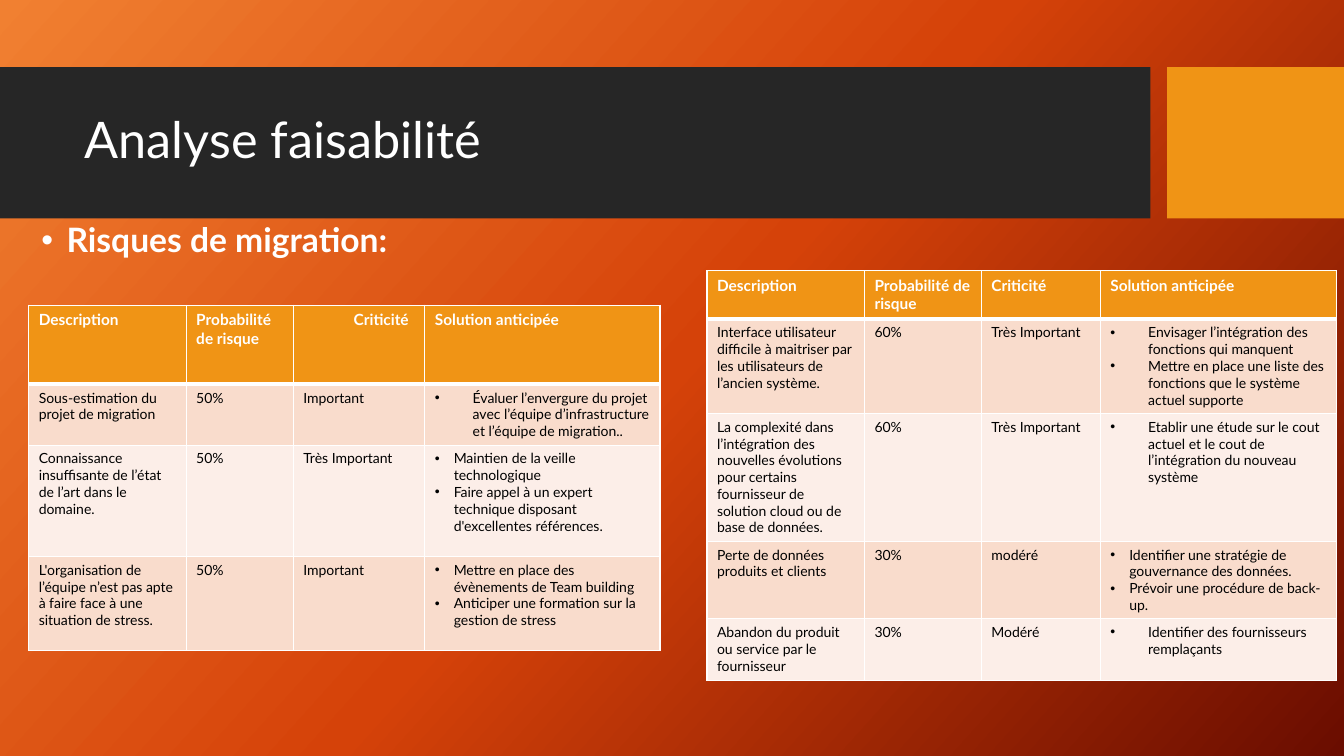
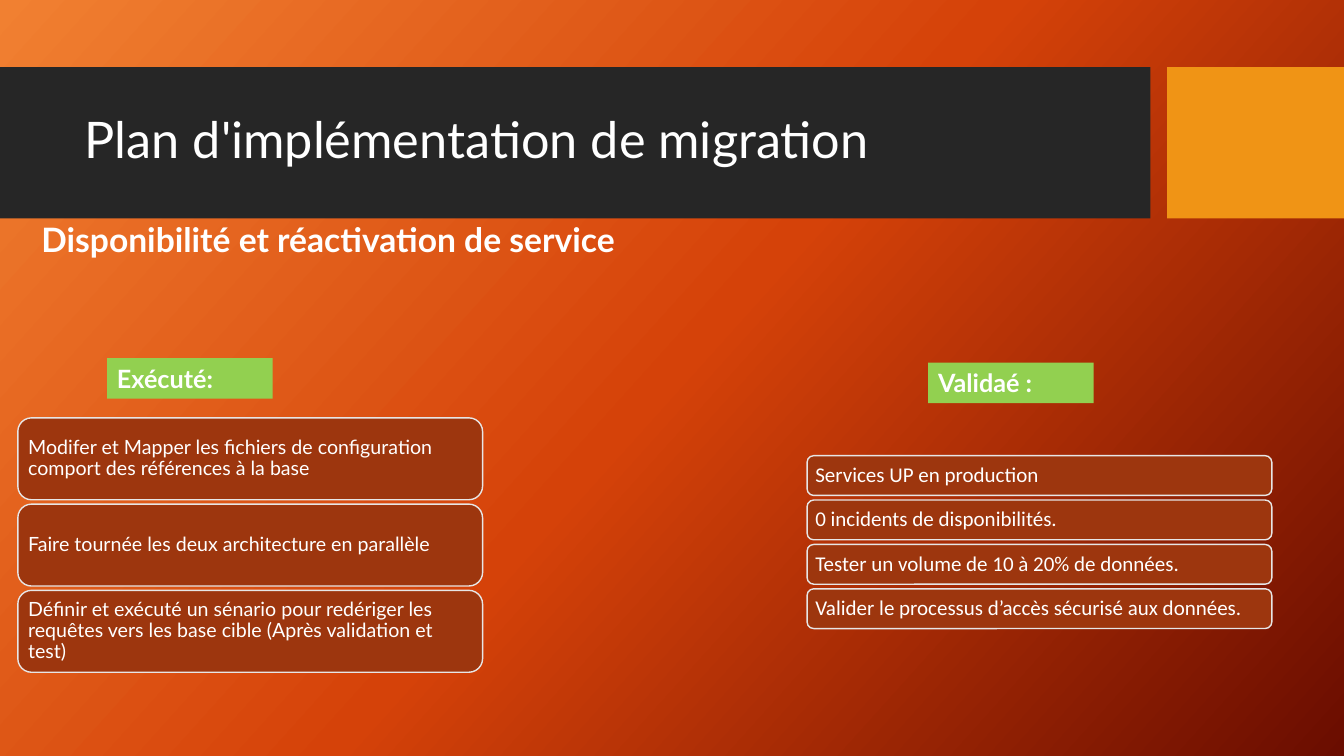
from lxml import etree
from pptx import Presentation
from pptx.dml.color import RGBColor
from pptx.enum.shapes import MSO_SHAPE
from pptx.enum.text import MSO_ANCHOR, PP_ALIGN
from pptx.oxml import parse_xml
from pptx.oxml.ns import nsdecls, qn
from pptx.util import Pt
from copy import deepcopy

color = RGBColor.from_string
WHITE, BLACK = "FFFFFF", "000000"
DARK, AMBER, GREEN, RUST = "262626", "F09415", "92D050", "9D360E"
BAND_FILLS = ["FCEEE8", "F9DCCC"]
GRADIENT = [(0, "F18031"), (0.5, "D54209"), (1, "6A0D00")]
WIDE, NARROW = 27, 13.5  # bullet indents


def write_lines(text_frame, lines, size, ink=WHITE, bold=False, font="Lato",
                spacing=None, indent=0, bullet=False):
    """Fill a text frame, one paragraph per line, all in one style."""
    text_frame.word_wrap = True
    for index, line in enumerate(lines):
        paragraph = text_frame.add_paragraph() if index else text_frame.paragraphs[0]
        paragraph.text = line
        paragraph.alignment = PP_ALIGN.LEFT
        if spacing:
            paragraph.line_spacing = spacing
        if indent:
            properties = paragraph._p.get_or_add_pPr()
            properties.set("marL", str(Pt(indent)))
            properties.set("indent", str(-Pt(indent) if bullet else 0))
            if bullet:
                etree.SubElement(properties, qn("a:buFont"), typeface="Arial")
                etree.SubElement(properties, qn("a:buChar"), char="•")
        paragraph.font.name = font
        paragraph.font.size = Pt(size)
        paragraph.font.bold = bold
        paragraph.font.color.rgb = color(ink)


def add_box(slide, kind, left, top, width, height, fill, line=None):
    shape = slide.shapes.add_shape(kind, Pt(left), Pt(top), Pt(width), Pt(height))
    shape.shadow.inherit = False
    shape.fill.solid()
    shape.fill.fore_color.rgb = color(fill)
    if line:
        shape.line.color.rgb = color(line)
        shape.line.width = Pt(1)
    else:
        shape.line.fill.background()
    return shape


presentation = Presentation()
presentation.slide_width, presentation.slide_height = Pt(960), Pt(540)

# Shared background
master = presentation.slide_master
background = master.background.fill
background.gradient()
background.gradient_angle = 318
stop_list = master.element.find(".//" + qn("a:gsLst"))
stop_list.append(deepcopy(stop_list[0]))
for stop, (position, tone) in zip(background.gradient_stops, GRADIENT):
    stop.position = position
    stop.color.rgb = color(tone)

# Shared bands, title and subtitle
headings = [
    ("Analyse faisabilité", "Risques de migration:", True),
    ("Plan d'implémentation de migration",
     "Disponibilité et réactivation de service", False),
]
slides = []
for title, subtitle, has_bullet in headings:
    slide = presentation.slides.add_slide(presentation.slide_layouts[6])
    add_box(slide, MSO_SHAPE.RECTANGLE, 0, 48, 821.75, 108, DARK)
    add_box(slide, MSO_SHAPE.RECTANGLE, 833.75, 48, 126.25, 108, AMBER)
    title_frame = slide.shapes.add_textbox(
        Pt(53.5), Pt(59), Pt(757), Pt(85)).text_frame
    title_frame.vertical_anchor = MSO_ANCHOR.MIDDLE
    write_lines(title_frame, [title], 36, spacing=0.9)
    subtitle_frame = slide.shapes.add_textbox(
        Pt(22.5), Pt(156), Pt(930), Pt(36)).text_frame
    write_lines(subtitle_frame, [subtitle], 24, bold=True, spacing=0.9,
                indent=18 if has_bullet else 0, bullet=has_bullet)
    slides.append(slide)
risk_slide, plan_slide = slides

# Risk tables: each row is description, probability, severity, bullet indent, solutions
HEADERS = ["Description", "Probabilité de risque", "Criticité", "Solution anticipée"]
migration_risks = [
    ("Sous-estimation du projet de migration", "50%", "Important", WIDE,
     ["Évaluer l’envergure du projet avec l’équipe d’infrastructure "
      "et l’équipe de migration.."]),
    ("Connaissance insuffisante de l’état de l’art dans le domaine.", "50%",
     "Très Important", NARROW,
     ["Maintien de la veille technologique",
      "Faire appel à un expert technique disposant d'excellentes références."]),
    ("L'organisation de l’équipe n’est pas apte à faire face à une situation de stress.",
     "50%", "Important", NARROW,
     ["Mettre en place des évènements de Team building",
      "Anticiper une formation sur la gestion de stress"]),
]
product_risks = [
    ("Interface utilisateur difficile à maitriser par les utilisateurs "
     "de l’ancien système.", "60%", "Très Important", WIDE,
     ["Envisager l’intégration des fonctions qui manquent",
      "Mettre en place une liste des fonctions que le système actuel supporte"]),
    ("La complexité dans l’intégration des nouvelles évolutions pour certains "
     "fournisseur de solution cloud ou de base de données.", "60%",
     "Très Important", WIDE,
     ["Etablir une étude sur le cout actuel et le cout de l’intégration "
      "du nouveau système"]),
    ("Perte de données produits et clients", "30%", "modéré", NARROW,
     ["Identifier une stratégie de gouvernance des données.",
      "Prévoir une procédure de back-up."]),
    ("Abandon du produit ou service par le fournisseur", "30%", "Modéré", WIDE,
     ["Identifier des fournisseurs remplaçants"]),
]
# left, top, column widths, row heights, indent of the severity header, risks
risk_tables = [
    (20.5, 218, [112.5, 76.5, 94, 168], [56.5, 43.5, 79.5, 67], 36, migration_risks),
    (505, 193.5, [112.5, 83.5, 85, 168.5], [34.5, 67, 91, 55, 44], 0, product_risks),
]
for left, top, widths, heights, severity_indent, risks in risk_tables:
    table = risk_slide.shapes.add_table(
        len(heights), len(widths), Pt(left), Pt(top),
        Pt(sum(widths)), Pt(sum(heights))).table
    table.horz_banding = False
    for column, width in zip(table.columns, widths):
        column.width = Pt(width)
    for row, height in zip(table.rows, heights):
        row.height = Pt(height)

    for index, header in enumerate(HEADERS):
        write_lines(table.cell(0, index).text_frame, [header], 11, bold=True,
                    indent=severity_indent if index == 2 else 0)
    for row_index, (*facts, indent, solutions) in enumerate(risks, 1):
        for index, fact in enumerate(facts):
            write_lines(table.cell(row_index, index).text_frame, [fact], 10, BLACK)
        write_lines(table.cell(row_index, 3).text_frame, solutions, 10, BLACK,
                    indent=indent, bullet=True)

    for row_index, row in enumerate(table.rows):
        borders = {"lnL": 1, "lnR": 1,
                   "lnT": 3 if row_index == 1 else 1,
                   "lnB": 3 if row_index == 0 else 1}
        for cell in row.cells:
            cell.fill.solid()
            cell.fill.fore_color.rgb = color(
                BAND_FILLS[row_index % 2] if row_index else AMBER)
            properties = cell._tc.get_or_add_tcPr()
            for place, (side, weight) in enumerate(borders.items()):
                properties.insert(place, parse_xml(
                    f'<a:{side} {nsdecls("a")} w="{Pt(weight)}"><a:solidFill>'
                    f'<a:srgbClr val="{WHITE}"/></a:solidFill></a:{side}>'))

# Step lists: label, its left and top, then cards' left, top, height, pitch, font, size
step_lists = [
    ("Exécuté:", 76.5, 255.75, 12.75, 298.5, 58.5, 61.6, "Lato", 14,
     ["Modifer et Mapper les fichiers de configuration comport des références à la base",
      "Faire tournée les deux architecture en parallèle",
      "Définir et exécuté un sénario pour redériger les requêtes vers les base cible "
      "(Après validation et test)"]),
    ("Validaé :", 663, 259, 576.5, 325.5, 28.4, 31.7, "Calibri", 15,
     ["Services UP en production",
      "0 incidents de disponibilités.",
      "Tester un volume de 10 à 20% de données.",
      "Valider le processus d’accès sécurisé aux données."]),
]
for (label, label_left, label_top, left, top, height, pitch,
     font, size, steps) in step_lists:
    label_box = add_box(plan_slide, MSO_SHAPE.RECTANGLE,
                        label_left, label_top, 118.25, 29, GREEN)
    label_box.text_frame.vertical_anchor = MSO_ANCHOR.TOP
    write_lines(label_box.text_frame, [label], 18, bold=True)
    for index, step in enumerate(steps):
        card = add_box(plan_slide, MSO_SHAPE.ROUNDED_RECTANGLE,
                       left, top + index * pitch, 332, height, RUST, "E7E6E6")
        frame = card.text_frame
        frame.margin_left = frame.margin_right = Pt(4.5)
        frame.margin_top = frame.margin_bottom = Pt(4.5)
        frame.vertical_anchor = MSO_ANCHOR.MIDDLE
        write_lines(frame, [step], size, font=font, spacing=0.9)

presentation.save("out.pptx")
